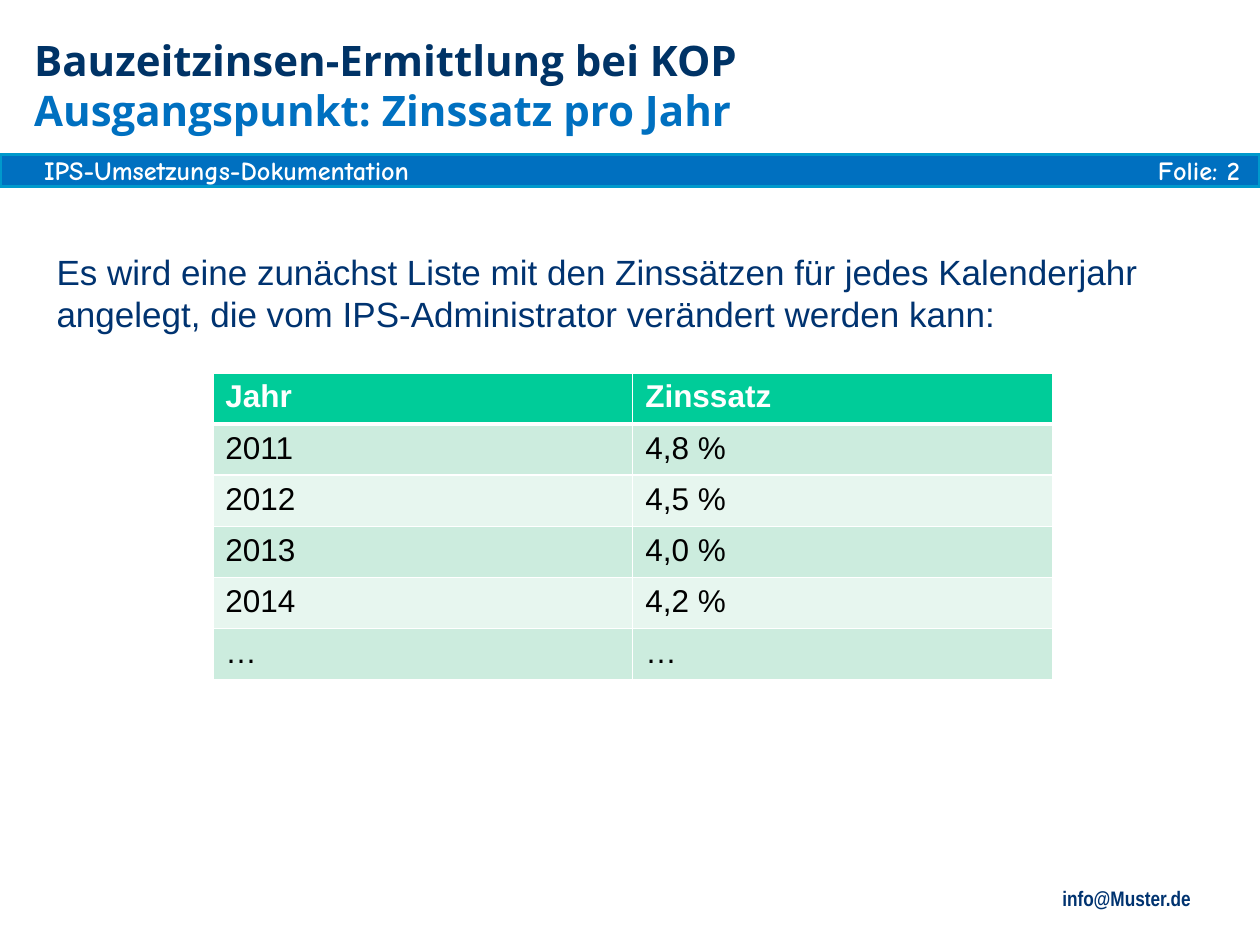
from dataclasses import dataclass

from lxml.etree import SubElement
from pptx import Presentation
from pptx.dml.color import RGBColor
from pptx.enum.shapes import MSO_SHAPE
from pptx.enum.text import MSO_ANCHOR, MSO_AUTO_SIZE, PP_ALIGN
from pptx.oxml.ns import qn
from pptx.util import Cm, Pt


@dataclass(frozen=True)
class Theme:
    white: str = "FFFFFF"
    black: str = "000000"
    heading: str = "003366"
    blue: str = "0070C0"
    bar_edge: str = "0099CC"
    navy: str = "003370"
    header: str = "00CC99"
    bands: tuple = ("CCECDE", "E7F6EF")
    title_size: int = 24
    body_size: int = 20
    table_size: int = 18
    bar_size: int = 15
    contact_size: int = 12
    title_font: str = "Open Sans"
    body_font: str = "Arial"
    bar_font: str = "Comic Neue"
    contact_font: str = "Arial Narrow"


def apply(target, values):
    for name, value in values.items():
        setattr(target, name, value)


def place(shape, box):
    apply(shape, dict(zip(("left", "top", "width", "height"), map(Cm, box))))


class SlideBuilder:
    def __init__(self, slide, theme):
        self.slide = slide
        self.theme = theme

    def add_run(self, frame, text, font, size, color, bold=False, align=PP_ALIGN.LEFT, spacing=None):
        paragraph = frame.paragraphs[0]
        apply(paragraph, {"alignment": align, "line_spacing": spacing})
        run = paragraph.add_run()
        run.text = text
        apply(run.font, {"name": font, "size": Pt(size), "bold": bold})
        run.font.color.rgb = RGBColor.from_string(color)

    def fill_frame(self, shape, text, inset, style):
        frame = shape.text_frame
        apply(frame, {
            "word_wrap": True,
            "auto_size": MSO_AUTO_SIZE.NONE,
            "vertical_anchor": MSO_ANCHOR.TOP,
            "margin_left": Cm(inset[0]),
            "margin_right": Cm(inset[0]),
            "margin_top": Cm(inset[1]),
            "margin_bottom": Cm(inset[1]),
        })
        self.add_run(frame, text, **style)

    def text(self, box, text, inset=(0, 0), **style):
        shape = self.slide.shapes.add_textbox(*map(Cm, box))
        self.fill_frame(shape, text, inset, style)

    def title(self, box, text, **style):
        shape = self.slide.shapes.title
        place(shape, box)
        self.fill_frame(shape, text, (0, 0), style)

    def bar(self, box, fill, edge, width):
        shape = self.slide.shapes.add_shape(MSO_SHAPE.RECTANGLE, *map(Cm, box))
        shape.shadow.inherit = False
        shape.fill.solid()
        shape.fill.fore_color.rgb = RGBColor.from_string(fill)
        shape.line.color.rgb = RGBColor.from_string(edge)
        shape.line.width = Pt(width)

    def borders(self, cell, bottom):
        properties = cell._tc.get_or_add_tcPr()
        widths = {"a:lnL": 1, "a:lnR": 1, "a:lnT": 1, "a:lnB": bottom}
        for index, (tag, width) in enumerate(widths.items()):
            line = SubElement(properties, qn(tag), w=str(Pt(width)))
            SubElement(SubElement(line, qn("a:solidFill")), qn("a:srgbClr"), val=self.theme.white)
            properties.insert(index, line)

    def table(self, box, rows):
        theme = self.theme
        table = self.slide.shapes.add_table(len(rows), len(rows[0]), *map(Cm, box)).table
        for row_index, row in enumerate(rows):
            is_header = row_index == 0
            fill = theme.header if is_header else theme.bands[(row_index - 1) % 2]
            for column_index, text in enumerate(row):
                cell = table.cell(row_index, column_index)
                cell.fill.solid()
                cell.fill.fore_color.rgb = RGBColor.from_string(fill)
                self.borders(cell, 3 if is_header else 1)
                self.add_run(cell.text_frame, text, theme.body_font, theme.table_size,
                             theme.white if is_header else theme.black, is_header)


theme = Theme()
presentation = Presentation()
apply(presentation, {"slide_width": Cm(25.4), "slide_height": Cm(19.05)})
builder = SlideBuilder(presentation.slides.add_slide(presentation.slide_layouts[5]), theme)

heading_style = {"font": theme.title_font, "size": theme.title_size, "bold": True, "spacing": Pt(28.5)}
bar_style = {"font": theme.bar_font, "size": theme.bar_size, "color": theme.white, "bold": True}
body_inset = (0.25, 0.13)

builder.bar((0, 3.12, 25.4, 0.64), theme.blue, theme.bar_edge, 2)
builder.text((0.89, 3.12, 24.51, 0.64), "IPS-Umsetzungs-Dokumentation", **bar_style)
builder.text((12.5, 3.12, 12.5, 0.64), "Folie: 2", align=PP_ALIGN.RIGHT, **bar_style)
builder.text((13.89, 17.73, 10.37, 0.76), "info@Muster.de", body_inset, font=theme.contact_font,
             size=theme.contact_size, color=theme.navy, bold=True, align=PP_ALIGN.RIGHT)
builder.text((0.69, 0.71, 22.4, 1), "Bauzeitzinsen-Ermittlung bei KOP", color=theme.heading, **heading_style)
builder.title((0.69, 1.72, 21.62, 1), "Ausgangspunkt: Zinssatz pro Jahr", color=theme.blue, **heading_style)
builder.text((0.89, 4.93, 23.8, 1.96),
             "Es wird eine zunächst Liste mit den Zinssätzen für jedes Kalenderjahr angelegt, "
             "die vom IPS-Administrator verändert werden kann:",
             body_inset, font=theme.body_font, size=theme.body_size, color=theme.navy)
builder.table((4.29, 7.52, 16.93, 6.18), [
    ("Jahr", "Zinssatz"),
    ("2011", "4,8 %"),
    ("2012", "4,5 %"),
    ("2013", "4,0 %"),
    ("2014", "4,2 %"),
    ("…", "…"),
])

presentation.save("out.pptx")
